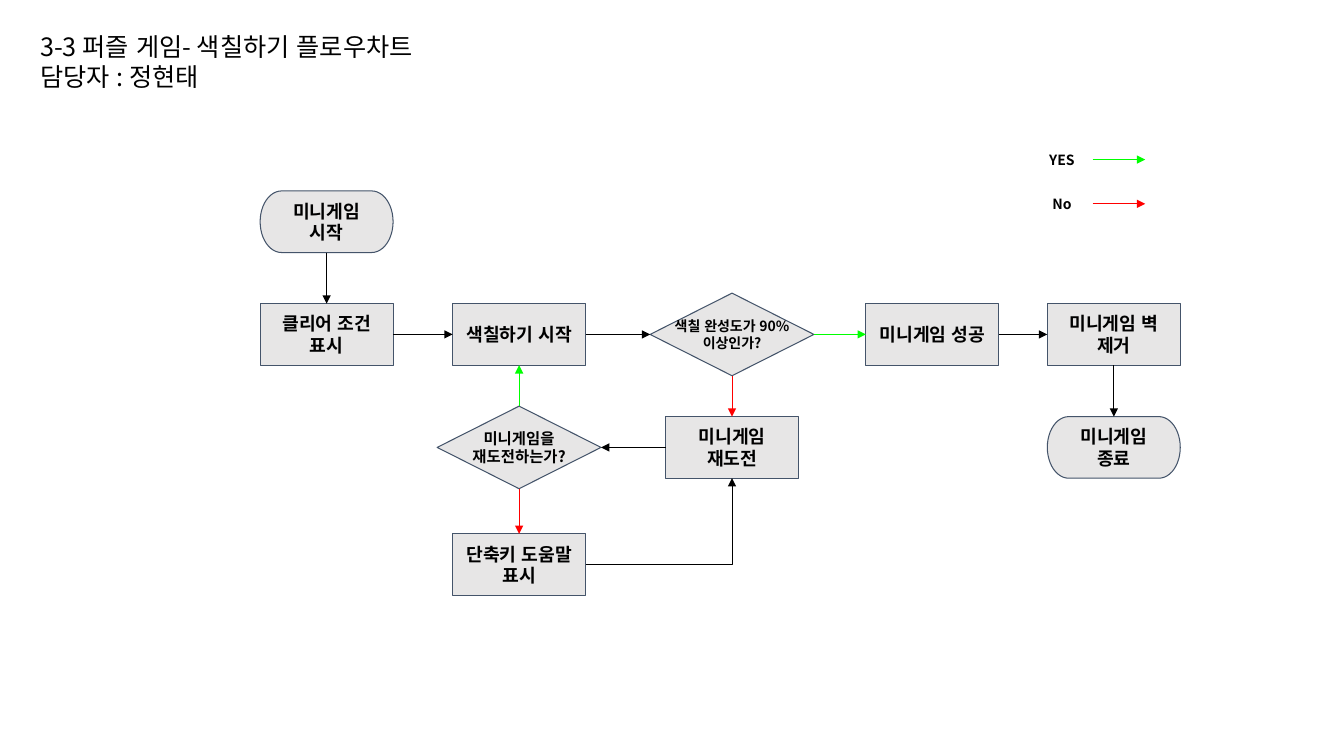
from lxml import etree
from pptx import Presentation
from pptx.dml.color import RGBColor
from pptx.enum.lang import MSO_LANGUAGE_ID
from pptx.enum.shapes import MSO_CONNECTOR, MSO_SHAPE
from pptx.enum.text import MSO_ANCHOR, MSO_AUTO_SIZE, PP_ALIGN
from pptx.oxml.ns import qn
from pptx.util import Pt

PROCESS = MSO_SHAPE.RECTANGLE
TERMINAL = MSO_SHAPE.FLOWCHART_TERMINATOR
DECISION = MSO_SHAPE.FLOWCHART_DECISION
STRAIGHT, ELBOW = MSO_CONNECTOR.STRAIGHT, MSO_CONNECTOR.ELBOW
LEFT, CENTER = PP_ALIGN.LEFT, PP_ALIGN.CENTER
TOP, MIDDLE = MSO_ANCHOR.TOP, MSO_ANCHOR.MIDDLE
NO_RESIZE = MSO_AUTO_SIZE.NONE
KOREAN = MSO_LANGUAGE_ID.KOREAN

FONT = "Noto Sans CJK KR"
BLACK, GREEN, RED = "000000", "00FF00", "FF0000"
FILL, OUTLINE = "E7E6E6", "44546A"
TOP_SIDE, LEFT_SIDE, BOTTOM_SIDE, RIGHT_SIDE = range(4)
color = RGBColor.from_string


def write(frame, lines, size, bold=True, align=CENTER, anchor=TOP, inset=7.2):
    frame.word_wrap = True
    frame.auto_size = NO_RESIZE
    frame.vertical_anchor = anchor
    frame.margin_left = frame.margin_right = Pt(7.2)
    frame.margin_top = frame.margin_bottom = Pt(inset)
    for index, line in enumerate(lines):
        paragraph = frame.add_paragraph() if index else frame.paragraphs[0]
        paragraph.alignment = align
        run = paragraph.add_run()
        run.text = line
        run.font.size = Pt(size)
        run.font.bold = bold
        run.font.color.rgb = color(BLACK)
        run.font.name = FONT
        run.font.language_id = KOREAN
        etree.SubElement(run.font._element, qn("a:ea"), typeface=FONT)


def arrow(kind, tint, x1=0, y1=0, x2=0, y2=0):
    connector = slide.shapes.add_connector(kind, Pt(x1), Pt(y1), Pt(x2), Pt(y2))
    connector.line.color.rgb = color(tint)
    connector.line.width = Pt(0.75)
    etree.SubElement(connector.line._get_or_add_ln(), qn("a:tailEnd"), type="triangle")
    etree.SubElement(connector._element.spPr, qn("a:effectLst"))
    return connector


deck = Presentation()
deck.slide_width, deck.slide_height = Pt(960), Pt(540)
slide = deck.slides.add_slide(deck.slide_layouts[5])

heading = slide.shapes.title
heading.left, heading.top, heading.width, heading.height = Pt(21.6), Pt(18.7), Pt(350.6), Pt(51.1)
write(heading.text_frame, ["3-3 퍼즐 게임- 색칠하기 플로우차트", "담당자 : 정현태"],
      18, bold=False, align=LEFT, inset=3.6)

columns = [233.3, 370.8, 522.9, 666, 795.6]
rows = [158.4, 238.9, 319.6, 403.4]
node_sizes = {PROCESS: (95, 44), TERMINAL: (95, 44), DECISION: (117, 59)}
steps = [
    ("start", TERMINAL, 0, 0, "미니게임 시작"),
    ("condition", PROCESS, 0, 1, "클리어 조건 표시"),
    ("paint", PROCESS, 1, 1, "색칠하기 시작"),
    ("complete", DECISION, 2, 1, ""),
    ("success", PROCESS, 3, 1, "미니게임 성공"),
    ("wall", PROCESS, 4, 1, "미니게임 벽 제거"),
    ("end", TERMINAL, 4, 2, "미니게임 종료"),
    ("retry", PROCESS, 2, 2, "미니게임 재도전"),
    ("again", DECISION, 1, 2, ""),
    ("help", PROCESS, 1, 3, "단축키 도움말 표시"),
]
nodes = {}
for name, outline, column, row, caption in steps:
    width, height = node_sizes[outline]
    node = slide.shapes.add_shape(outline, Pt(columns[column] - width / 2),
                                  Pt(rows[row] - height / 2), Pt(width), Pt(height))
    node.shadow.inherit = False
    node.fill.solid()
    node.fill.fore_color.rgb = color(FILL)
    node.line.color.rgb = color(OUTLINE)
    node.line.width = Pt(0.75)
    if caption:
        write(node.text_frame, [caption], 13, anchor=MIDDLE)
    nodes[name] = node

flows = [
    ("start", BOTTOM_SIDE, "condition", TOP_SIDE, BLACK),
    ("condition", RIGHT_SIDE, "paint", LEFT_SIDE, BLACK),
    ("paint", RIGHT_SIDE, "complete", LEFT_SIDE, BLACK),
    ("complete", RIGHT_SIDE, "success", LEFT_SIDE, GREEN),
    ("success", RIGHT_SIDE, "wall", LEFT_SIDE, BLACK),
    ("wall", BOTTOM_SIDE, "end", TOP_SIDE, BLACK),
    ("complete", BOTTOM_SIDE, "retry", TOP_SIDE, RED),
    ("retry", LEFT_SIDE, "again", RIGHT_SIDE, BLACK),
    ("again", TOP_SIDE, "paint", BOTTOM_SIDE, GREEN),
    ("again", BOTTOM_SIDE, "help", TOP_SIDE, RED),
    ("help", RIGHT_SIDE, "retry", BOTTOM_SIDE, BLACK),
]
for source, exit_side, target, entry_side, tint in flows:
    bent = source == "help"
    flow = arrow(ELBOW if bent else STRAIGHT, tint)
    flow.begin_connect(nodes[source], exit_side)
    flow.end_connect(nodes[target], entry_side)
    if bent:
        flow._element.spPr.find(qn("a:prstGeom")).set("prst", "bentConnector2")

legend_x, legend_rows = 758.5, [114, 145.6]
labels = [
    (columns[2], rows[1], 100.8, 38.9, 10, ["색칠 완성도가 90%이상인가?"]),
    (columns[1], rows[2], 91.4, 41, 11, ["미니게임을", "재도전하는가?"]),
    (legend_x, legend_rows[0], 36.7, 26.6, 10, ["YES"]),
    (legend_x, legend_rows[1], 36.7, 26.6, 10, ["No"]),
]
for x, y, width, height, size, lines in labels:
    label = slide.shapes.add_textbox(Pt(x - width / 2), Pt(y - height / 2), Pt(width), Pt(height))
    write(label.text_frame, lines, size)

for y, tint in zip(legend_rows, (GREEN, RED)):
    arrow(STRAIGHT, tint, 780.5, y, 818, y)

deck.save("out.pptx")
